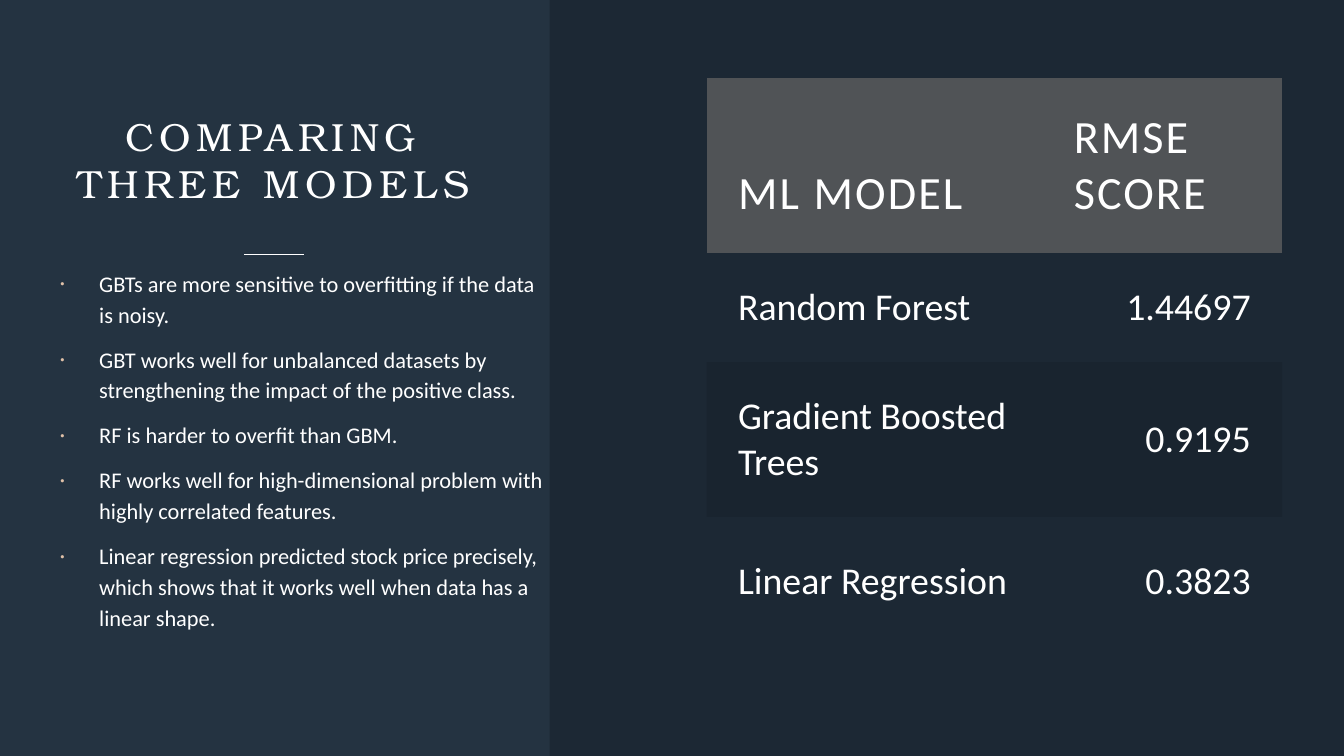
from lxml.etree import SubElement
from pptx import Presentation
from pptx.dml.color import RGBColor
from pptx.enum.shapes import MSO_CONNECTOR, MSO_SHAPE
from pptx.enum.text import MSO_ANCHOR, MSO_AUTO_SIZE, PP_ALIGN
from pptx.oxml.ns import qn
from pptx.util import Cm, Pt

WHITE = "FFFFFF"
TABLE_INSET = Cm(0.79)
POINTS = [
    "GBTs are more sensitive to overfitting if the data is noisy.",
    "GBT works well for unbalanced datasets by strengthening the impact of the positive class.",
    "RF is harder to overfit than GBM.",
    "RF works well for high-dimensional problem with highly correlated features.",
    "Linear regression predicted stock price precisely, which shows that it works well "
    "when data has a linear shape.",
]
SCORES = [
    ("ML MODEL", "RMSE SCORE"),
    ("Random Forest", "1.44697"),
    ("Gradient Boosted Trees", "0.9195"),
    ("Linear Regression", "0.3823"),
]


def color(hex_code):
    return RGBColor.from_string(hex_code)


def set_font(paragraph, name, size, spacing=0):
    """Style a paragraph in white; spacing is the letter spacing in points."""
    font = paragraph.font
    font.name = name
    font.size = Pt(size)
    font.bold = False
    font.color.rgb = color(WHITE)
    if spacing:
        properties = paragraph._p.pPr.find(qn("a:defRPr"))
        properties.set("spc", str(int(spacing * 100)))


def set_fill(fill, properties, hex_code, opacity=100):
    """Fill with a solid color; properties is the XML parent of the fill."""
    fill.solid()
    fill.fore_color.rgb = color(hex_code)
    if opacity < 100:
        rgb = properties.find(qn("a:solidFill")).find(qn("a:srgbClr"))
        SubElement(rgb, qn("a:alpha")).set("val", str(opacity * 1000))


def place(shape, left, top, width, height):
    shape.left, shape.top = Cm(left), Cm(top)
    shape.width, shape.height = Cm(width), Cm(height)


def prepare_frame(shape, anchor):
    frame = shape.text_frame
    frame.word_wrap = True
    frame.auto_size = MSO_AUTO_SIZE.NONE
    frame.vertical_anchor = anchor
    frame.margin_left = frame.margin_right = 0
    frame.margin_top = frame.margin_bottom = 0
    return frame


def add_bullet(paragraph):
    properties = paragraph._p.get_or_add_pPr()
    properties.set("marL", str(Cm(1)))
    properties.set("indent", str(-Cm(1)))
    bullet_color = SubElement(properties, qn("a:buClr"))
    SubElement(bullet_color, qn("a:srgbClr")).set("val", "E0C1A8")
    SubElement(properties, qn("a:buFont")).set("typeface", "Calibri")
    SubElement(properties, qn("a:buChar")).set("char", "·")


def fill_title(title):
    place(title, 1.5, 1.5, 10.8, 3.7)
    paragraph = prepare_frame(title, MSO_ANCHOR.BOTTOM).paragraphs[0]
    paragraph.text = "COMPARING THREE MODELS"
    paragraph.alignment = PP_ALIGN.CENTER
    set_font(paragraph, "TeX Gyre Bonum", 28, spacing=4)


def fill_points(body):
    place(body, 1.5, 6.7, 12.35, 10.85)
    frame = prepare_frame(body, MSO_ANCHOR.TOP)
    frame.text = "\n".join(POINTS)
    for paragraph in frame.paragraphs:
        add_bullet(paragraph)
        paragraph.line_spacing = 1.15
        paragraph.space_before = Pt(10)
        set_font(paragraph, "Calibri", 16)


def add_divider(slide):
    line = slide.shapes.add_connector(
        MSO_CONNECTOR.STRAIGHT, Cm(6.15), Cm(6.42), Cm(7.65), Cm(6.42))
    line.line.color.rgb = color(WHITE)
    line.line.width = Pt(1)
    SubElement(line._element.spPr, qn("a:effectLst"))


def add_dark_panel(slide):
    panel = slide.shapes.add_shape(
        MSO_SHAPE.RECTANGLE, Cm(13.85), 0, Cm(20.02), Cm(19.05))
    panel.shadow.inherit = False
    panel.line.fill.background()
    set_fill(panel.fill, panel._element.spPr, "000000", opacity=20)


def format_cell(cell, row, column):
    cell.margin_left = cell.margin_right = TABLE_INSET
    cell.margin_top = cell.margin_bottom = TABLE_INSET
    paragraph = cell.text_frame.paragraphs[0]
    properties = cell._tc.get_or_add_tcPr()
    if row == 0:
        cell.vertical_anchor = MSO_ANCHOR.BOTTOM
        set_fill(cell.fill, properties, "505356")
        set_font(paragraph, "Calibri", 33, spacing=1.5)
        return
    cell.vertical_anchor = MSO_ANCHOR.MIDDLE
    paragraph.alignment = PP_ALIGN.RIGHT if column else PP_ALIGN.LEFT
    set_font(paragraph, "Calibri", 27)
    if row % 2 == 0:
        set_fill(cell.fill, properties, "000000", opacity=8)
    else:
        cell.fill.background()


def add_score_table(slide):
    frame = slide.shapes.add_table(
        len(SCORES), 2, Cm(17.81), Cm(1.96), Cm(14.5), Cm(12.62))
    table = frame.table
    table.first_row = table.horz_banding = False
    style = table._tbl.tblPr.find(qn("a:tableStyleId"))
    style.text = "{2D5ABB26-0587-4C30-8999-92F81FD0307C}"  # no style, no grid
    for column, width in zip(table.columns, (8.46, 6.04)):
        column.width = Cm(width)
    for row, height in zip(table.rows, (3.73, 2.34, 3.28, 3.28)):
        row.height = Cm(height)
    for i, values in enumerate(SCORES):
        for j, value in enumerate(values):
            cell = table.cell(i, j)
            cell.text = value
            format_cell(cell, i, j)


def main():
    presentation = Presentation()
    presentation.slide_width = Cm(33.87)
    presentation.slide_height = Cm(19.05)
    slide = presentation.slides.add_slide(presentation.slide_layouts[1])
    background = slide.background.fill
    background.solid()
    background.fore_color.rgb = color("243341")
    fill_title(slide.shapes.title)
    add_divider(slide)
    fill_points(slide.placeholders[1])
    add_dark_panel(slide)
    add_score_table(slide)
    presentation.save("out.pptx")


if __name__ == "__main__":
    main()
